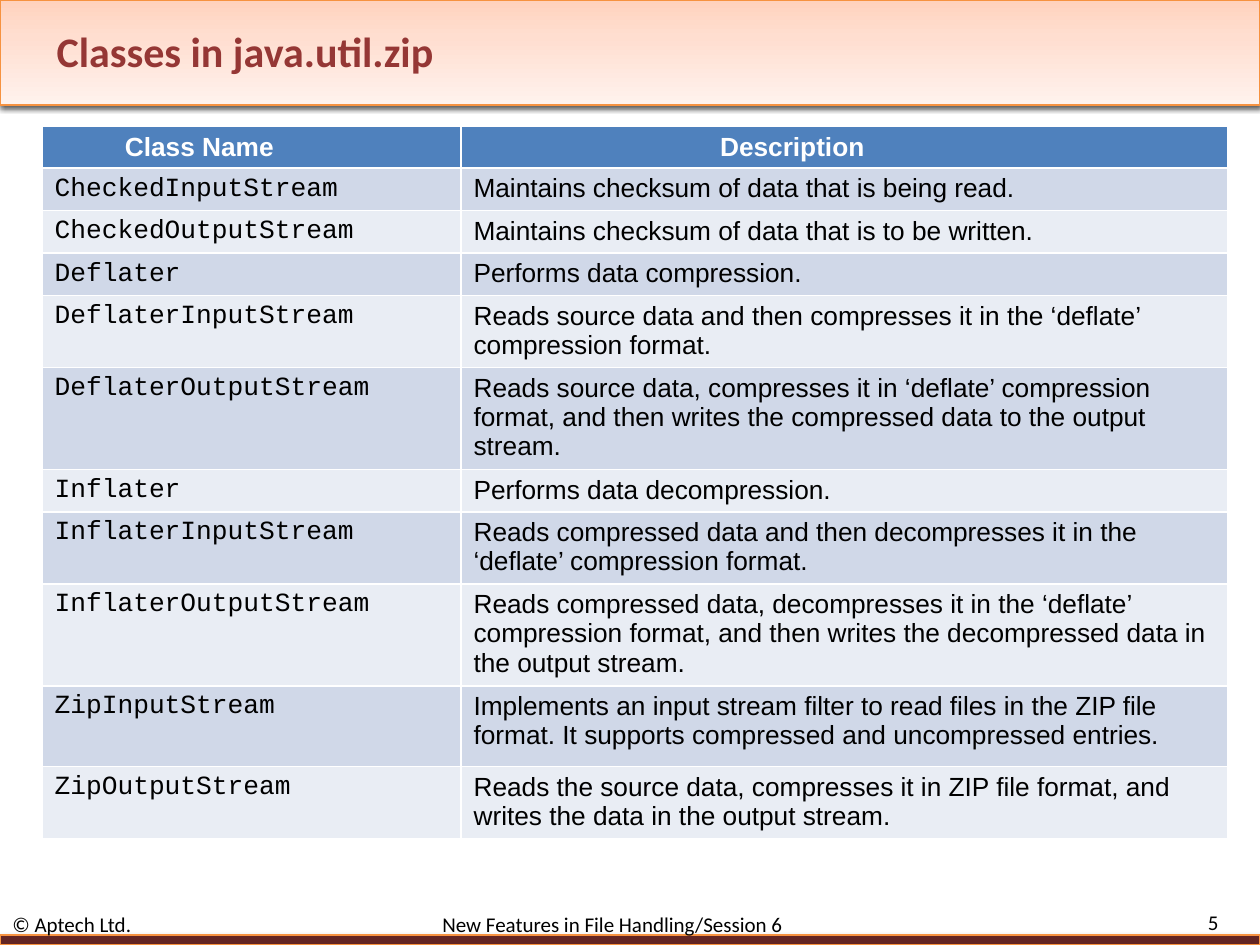
from lxml import etree
from pptx import Presentation
from pptx import util as u
from pptx.dml.color import RGBColor
from pptx.enum import shapes, text
from pptx.oxml import parse_xml
from pptx.oxml.ns import qn

SCALE = 914400 / 126
NS = 'xmlns:a="http://schemas.openxmlformats.org/drawingml/2006/main"'
INSET = 13
LINE_HEIGHT = 30
ROW_PADDING = 12

# Class name, description, number of lines, extra height in px
CLASSES = [
    ("CheckedInputStream", "Maintains checksum of data that is being read.", 1, 0),
    ("CheckedOutputStream", "Maintains checksum of data that is to be written.", 1, 0),
    ("Deflater", "Performs data compression.", 1, 0),
    ("DeflaterInputStream", "Reads source data and then compresses it in the "
     "‘deflate’ compression format.", 2, 0),
    ("DeflaterOutputStream", "Reads source data, compresses it in ‘deflate’ "
     "compression format, and then writes the compressed data to the output stream.", 3, 0),
    ("Inflater", "Performs data decompression.", 1, 0),
    ("InflaterInputStream", "Reads compressed data and then decompresses it in the "
     "‘deflate’ compression format.", 2, 0),
    ("InflaterOutputStream", "Reads compressed data, decompresses it in the ‘deflate’ "
     "compression format, and then writes the decompressed data in the output stream.", 3, 0),
    ("ZipInputStream", "Implements an input stream filter to read files in the ZIP file "
     "format. It supports compressed and uncompressed entries.", 2, 9),
    ("ZipOutputStream", "Reads the source data, compresses it in ZIP file format, and "
     "writes the data in the output stream.", 2, 0),
]


def px(n):
    return u.Emu(round(n * SCALE))


def rgb(color):
    return RGBColor.from_string(color)


def add_run(p, words, size, font, color, bold=False):
    r = p.add_run()
    r.text = words
    r.font.size = u.Pt(size)
    r.font.name = font
    r.font.bold = bold
    r.font.color.rgb = rgb(color)
    return r


def add_bar(s, box, color, shadow_alpha):
    """Add a full-width bar with a soft shadow, behind everything else."""
    sp = s.shapes.add_shape(shapes.MSO_SHAPE.RECTANGLE, *map(px, box))
    sp.fill.solid()
    sp.fill.fore_color.rgb = rgb(color)
    sp.line.color.rgb = rgb("F69240")
    sp.line.width = u.Pt(0.75)
    sp._element.spPr.append(parse_xml(
        f'<a:effectLst {NS}><a:outerShdw blurRad="40000" dist="20000" dir="5400000" '
        f'rotWithShape="0"><a:srgbClr val="000000"><a:alpha val="{shadow_alpha}000"/>'
        '</a:srgbClr></a:outerShdw></a:effectLst>'))
    s.shapes._spTree.insert(2, sp._element)
    return sp


def add_header(s, box, title):
    left, top, width, height = box
    bar = add_bar(s, box, "FFD2BD", 62)
    bar.fill.gradient()
    bar.fill.gradient_angle = 270
    stop_list = bar._element.spPr.find(qn("a:gradFill")).find(qn("a:gsLst"))
    for stop in list(stop_list):
        stop_list.remove(stop)
    for pos, color in ((0, "FFD2BD"), (35, "FFDED0"), (100, "FFF2ED")):
        stop = etree.SubElement(stop_list, qn("a:gs"), pos=str(pos * 1000))
        etree.SubElement(stop, qn("a:srgbClr"), val=color)

    sp = s.shapes.title
    sp.left, sp.top = px(left + 44), px(top + 22)
    sp.width, sp.height = px(1037), px(57)
    tf = sp.text_frame
    tf.vertical_anchor = text.MSO_ANCHOR.MIDDLE
    p = tf.paragraphs[0]
    p.alignment = text.PP_ALIGN.LEFT
    r = add_run(p, title, 24, "Calibri", "953735", True)
    r._r.get_or_add_rPr().insert(0, parse_xml(
        f'<a:ln {NS} w="9525"><a:solidFill><a:srgbClr val="632523"/></a:solidFill></a:ln>'))


def fill_cell(cell, words, font, fill, color, heading=False):
    cell.fill.solid()
    cell.fill.fore_color.rgb = rgb(fill)
    p = cell.text_frame.paragraphs[0]
    if heading:
        p.alignment = text.PP_ALIGN.CENTER
        cell.margin_right = px(INSET + 104)
    add_run(p, words, 15, font, color, heading)


def add_class_table(s, box, name_width):
    left, top, width, height = box
    table = s.shapes.add_table(len(CLASSES) + 1, 2, *map(px, box)).table
    table.columns[0].width = px(name_width)
    table.columns[1].width = px(width - name_width)
    table.rows[0].height = px(LINE_HEIGHT + ROW_PADDING)
    for col, heading in enumerate(("Class Name", "Description")):
        fill_cell(table.cell(0, col), heading, "Arial", "4F81BD", "FFFFFF", True)
    for row, (name, description, lines, extra) in enumerate(CLASSES, 1):
        table.rows[row].height = px(lines * LINE_HEIGHT + ROW_PADDING + extra)
        fill = "D0D8E8" if row % 2 else "E9EDF4"
        fill_cell(table.cell(row, 0), name, "Courier New", fill, "000000")
        fill_cell(table.cell(row, 1), description, "Arial", fill, "000000")


def add_footer_text(s, box, words, align, tab=None):
    tf = s.shapes.add_textbox(*map(px, box)).text_frame
    tf.word_wrap = True
    tf.vertical_anchor = text.MSO_ANCHOR.MIDDLE
    p = tf.paragraphs[0]
    p.alignment = align
    if tab:
        tabs = etree.SubElement(p._p.get_or_add_pPr(), qn("a:tabLst"))
        etree.SubElement(tabs, qn("a:tab"), pos=str(px(tab)), algn="l")
    add_run(p, words, 12, "Calibri", "000000")


def add_footer(s, box):
    left, top, width, height = box
    add_bar(s, (left, top + 24, width, 10), "632523", 35)
    add_footer_text(s, (left, top + 2, 1113, 22),
                    "© Aptech Ltd.\tNew Features in File Handling/Session 6",
                    text.PP_ALIGN.LEFT, 443 - INSET)
    add_footer_text(s, (left + 1124, top, 107, 23), "5", text.PP_ALIGN.RIGHT)


def main():
    prs = Presentation()
    prs.slide_width, prs.slide_height = px(1260), px(945)
    s = prs.slides.add_slide(prs.slide_layouts[5])
    add_header(s, (0, 0, 1260, 105), "Classes in java.util.zip")
    add_class_table(s, (42, 126, 1186, 714), 419)
    add_footer(s, (0, 911, 1260, 34))
    prs.save("out.pptx")


if __name__ == "__main__":
    main()
